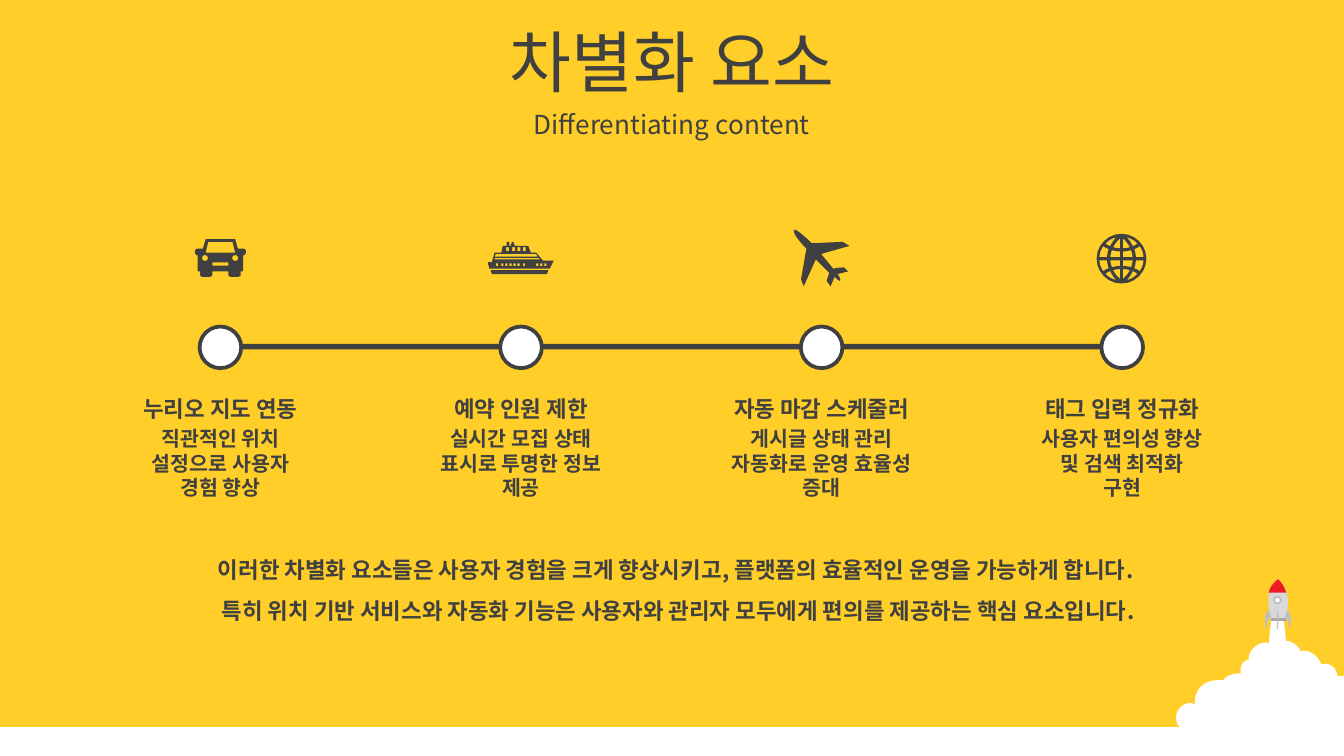
from dataclasses import dataclass

from pptx import Presentation
from pptx.dml.color import RGBColor
from pptx.enum.shapes import MSO_SHAPE
from pptx.enum.text import MSO_ANCHOR, PP_ALIGN
from pptx.util import Inches, Pt

FONT = "Noto Sans CJK KR"
DARK, WHITE, YELLOW = "404040", "FFFFFF", "FFCE29"
SILVER, GREY = "D9D9D9", "BFBFBF"
CURVE_STEPS = 6


@dataclass
class Outline:
    fill: str
    contours: list[str]


@dataclass
class Feature:
    heading: str
    detail: str
    icon: Outline
    width: float = 1.45


def color(value: str) -> RGBColor:
    return RGBColor.from_string(value)


def rectangle(x: float, y: float, width: float, height: float) -> str:
    return f"{x},{y} {x + width},{y} {x + width},{y + height} {x},{y + height}"


def circle(x: float, y: float, r: float) -> str:
    k = r * 0.55
    return (f"{x - r},{y} C {x - r},{y - k} {x - k},{y - r} {x},{y - r} "
            f"C {x + k},{y - r} {x + r},{y - k} {x + r},{y} "
            f"C {x + r},{y + k} {x + k},{y + r} {x},{y + r} "
            f"C {x - k},{y + r} {x - r},{y + k} {x - r},{y}")


def mirrored(contour: str, x: float, y: float, across: int, down: int) -> str:
    words = []
    for word in contour.split():
        if word != "C":
            dx, dy = map(float, word.split(","))
            word = f"{x + across * dx},{y + down * dy}"
        words.append(word)
    return " ".join(words)


def trace(contour: str) -> list[tuple[int, int]]:
    words = iter(contour.split())
    points = []
    for word in words:
        names = [next(words) for _ in range(3)] if word == "C" else [word]
        stops = [tuple(float(n) for n in name.split(",")) for name in names]
        if word == "C":
            a, (b, c, d) = points[-1], stops
            stops = []
            for step in range(1, CURVE_STEPS + 1):
                t = step / CURVE_STEPS
                u = 1 - t
                stops.append(tuple(
                    u**3 * a[i] + 3 * u * u * t * b[i] + 3 * u * t * t * c[i] + t**3 * d[i]
                    for i in (0, 1)))
        points += stops
    return [(Inches(x / 100), Inches(y / 100)) for x, y in points]


def draw_outline(page, outline: Outline) -> None:
    builder = None
    for contour in outline.contours:
        start, *rest = trace(contour)
        if builder is None:
            builder = page.shapes.build_freeform(*start, scale=1.0)
        else:
            builder.move_to(*start)
        builder.add_line_segments(rest, close=True)
    shape = builder.convert_to_shape()
    shape.shadow.inherit = False
    shape.fill.solid()
    shape.fill.fore_color.rgb = color(outline.fill)
    shape.line.fill.background()


def draw_shape(page, kind, left: float, top: float, width: float, height: float,
               fill: str, line: str = "", weight: float = 0) -> None:
    shape = page.shapes.add_shape(kind, Inches(left), Inches(top), Inches(width), Inches(height))
    shape.shadow.inherit = False
    shape.fill.solid()
    shape.fill.fore_color.rgb = color(fill)
    if line:
        shape.line.color.rgb = color(line)
        shape.line.width = Pt(weight)
    else:
        shape.line.fill.background()


def draw_text(page, text: str, left: float, top: float, width: float, height: float, size: float,
              bold: bool = True, anchor=MSO_ANCHOR.TOP, spacing: float = 1.0,
              inset: float = 0.1) -> None:
    box = page.shapes.add_textbox(Inches(left), Inches(top), Inches(width), Inches(height))
    frame = box.text_frame
    frame.word_wrap = True
    frame.vertical_anchor = anchor
    frame.margin_left = frame.margin_right = Inches(inset)
    para = frame.paragraphs[0]
    para.alignment = PP_ALIGN.CENTER
    para.line_spacing = spacing
    span = para.add_run()
    span.text = text
    span.font.size = Pt(size)
    span.font.bold = bold
    span.font.name = FONT
    span.font.color.rgb = color(DARK)


CLOUD = Outline(WHITE, [
    "946,459 955,459 957,477 959,477 C 962,478 965,480 967,483 968,485 969,484 "
    "C 975,484 981,488 983,494 984,494 C 990,493 994,497 995,502 995,503 1000,503 "
    "1000,560 998,560 C 994,560 990,559 987,557 986,556 985,557 C 983,558 981,559 978,559 "
    "C 975,559 973,557 971,555 969,554 C 967,558 964,559 960,559 C 957,559 954,558 952,556 "
    "951,555 949,556 C 945,559 940,561 934,561 C 923,561 917,556 913,551 C 911,553 907,554 904,553 "
    "C 900,552 894,550 893,545 893,543 892,544 C 891,545 889,545 886,545 C 880,545 875,540 875,534 "
    "C 875,528 880,523 886,523 889,524 889,522 C 889,513 896,506 906,506 910,506 911,505 "
    "C 914,502 918,501 923,501 923,499 C 923,495 925,492 928,491 929,491 929,489 "
    "C 930,483 936,478 942,478 944,479"])
ROCKET = [
    Outline(SILVER, ["946,462 C 944,453 940,440 951,431 C 962,441 958,454 956,462"]),
    Outline("A6A6A6", [rectangle(946, 460, 10.5, 2.5)]),
    Outline("ED1C24", ["951,431 C 954,434 956,437 957,441 944,441 C 945,437 947,434 951,431"]),
]
FINS = [
    Outline(GREY, ["944,454 946,459 C 942,461 943,466 942,468 C 941,465 940,457 944,454"]),
    Outline(GREY, ["958,454 956,459 C 959,461 959,466 960,468 C 960,465 962,457 958,454"]),
]
CAR = Outline(DARK, [
    "153,178 175,178 177,185 181,185 C 182,185 183,186 183,187 C 183,189 182,190 181,190 "
    "181,202 179,202 179,205 C 179,205 178,206 177,206 172,206 C 171,206 170,205 170,205 "
    "170,202 158,202 158,205 C 158,205 157,206 156,206 150,206 C 150,206 149,205 149,205 "
    "149,202 147,202 147,190 C 146,190 145,189 145,187 C 145,186 146,185 147,185 151,185",
    "155,180 153,188 175,188 173,180", rectangle(158, 195.2, 12, 2.4),
    circle(152.5, 192, 2.2), circle(175, 192, 2.2)])
SHIP = Outline(DARK, [
    "365,201 408,201 C 408,202 407,203 407,204 366,204 C 366,203 365,202 365,201",
    "381,180 382,180 383,183 393,183 395,188 399,188 404,194 412,194 C 411,196 410,198 409,200 "
    "364,200 C 364,198 363,197 363,195 366,195 368,188 373,188 374,183 377,183 377,180 "
    "379,180 379,183 380,183",
    "368,192 368,193 402,193 401,192", "369,189 368,191 400,191 399,189",
    *[rectangle(x, 196, 1.6, 2) for x in (369, 373, 376, 379, 382, 385, 389, 399, 402, 405)],
    *[rectangle(x, 184, 2.2, 3) for x in (376.5, 381, 385, 389)]])
PLANE = Outline(DARK, [
    "631,202 623,204 C 624,205 626,208 625,209 C 624,209 622,207 621,206 618,213 615,209 617,203 "
    "607,193 598,213 596,208 600,185 C 596,181 589,173 591,171 C 592,170 600,177 604,181 "
    "627,180 632,183 611,189 620,200 C 623,199 628,199 628,199"])
GLOBE_CELLS = [
    "1,1.2 1,5.4 C 3.3,5.5 5.3,5.8 7.1,6.3 C 7.8,4.8 8.2,3 8.3,1.2",
    "10.7,1.2 C 10.6,3.3 10.2,5.2 9.5,7.1 C 11,7.7 12.3,8.4 13.5,9.3 C 15.3,7 16.3,4.2 16.4,1.2",
    "1,7.7 1,15.1 C 3.2,13.3 5,11 6.2,8.5 C 4.5,8 2.8,7.8 1,7.7",
    "8.4,9.2 C 7.3,11.7 5.8,13.9 4,15.9 C 7,15.2 9.8,13.6 11.9,11.2 C 10.8,10.4 9.6,9.7 8.4,9.2",
]
GLOBE = Outline(DARK, [circle(834.5, 192.5, 18.5)] + [
    mirrored(cell, 834.5, 192.5, across, down)
    for cell in GLOBE_CELLS for across in (-1, 1) for down in (-1, 1)])

FEATURES = [
    Feature("누리오 지도 연동", "직관적인 위치 설정으로 사용자 경험 향상", CAR),
    Feature("예약 인원 제한", "실시간 모집 상태 표시로 투명한 정보 제공", SHIP),
    Feature("자동 마감 스케줄러", "게시글 상태 관리 자동화로 운영 효율성 증대", PLANE, 1.72),
    Feature("태그 입력 정규화", "사용자 편의성 향상 및 검색 최적화 구현", GLOBE),
]
SUMMARY = ("이러한 차별화 요소들은 사용자 경험을 크게 향상시키고, 플랫폼의 효율적인 운영을 가능하게 "
           "합니다. 특히 위치 기반 서비스와 자동화 기능은 사용자와 관리자 모두에게 편의를 제공하는 "
           "핵심 요소입니다.")
FIRST_CENTER, SPAN, DOT = 1.64, 6.71, 0.31
PITCH = SPAN / (len(FEATURES) - 1)


def main() -> None:
    deck = Presentation()
    deck.slide_width = Inches(10)
    deck.slide_height = deck.slide_width * 9 // 16
    page = deck.slides.add_slide(deck.slide_layouts[6])
    page.background.fill.solid()
    page.background.fill.fore_color.rgb = color(YELLOW)

    draw_shape(page, MSO_SHAPE.RECTANGLE, 0, 5.41, 10, 0.24, WHITE)
    for outline in [CLOUD, *ROCKET]:
        draw_outline(page, outline)
    draw_shape(page, MSO_SHAPE.OVAL, 9.48, 4.44, 0.05, 0.05, WHITE, GREY, 1)
    draw_shape(page, MSO_SHAPE.RECTANGLE, 9.5, 4.55, 0.01, 0.13, GREY)
    for fin in FINS:
        draw_outline(page, fin)

    draw_text(page, "차별화 요소", 0, 0.14, 10, 0.63, 36, False, MSO_ANCHOR.MIDDLE)
    draw_text(page, "Differentiating content", 0, 0.77, 10, 0.31, 14, False, MSO_ANCHOR.MIDDLE)

    draw_shape(page, MSO_SHAPE.RECTANGLE, FIRST_CENTER, 2.56, SPAN, 0.04, DARK)
    for index, feature in enumerate(FEATURES):
        center = FIRST_CENTER + index * PITCH
        left = center - feature.width / 2
        draw_outline(page, feature.icon)
        draw_shape(page, MSO_SHAPE.OVAL, center - DOT / 2, 2.43, DOT, DOT, WHITE, DARK, 2)
        draw_text(page, feature.detail, left, 3.12, feature.width, 0.66, 11, inset=0.11)
        draw_text(page, feature.heading, left, 2.89, feature.width, 0.3, 12)
    draw_text(page, SUMMARY, 1.46, 3.99, 7.08, 0.68, 12, spacing=1.5, inset=0.15)
    deck.save("out.pptx")


if __name__ == "__main__":
    main()
